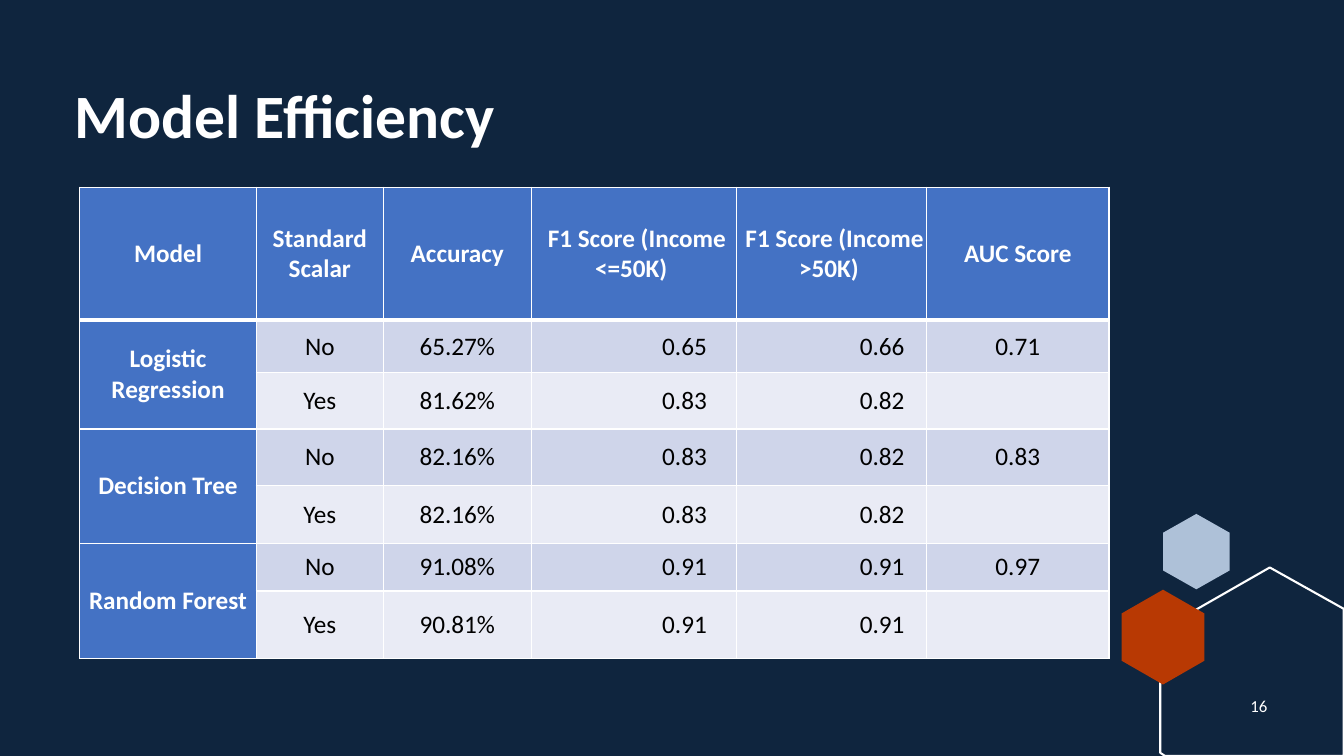
from lxml import etree
from pptx import Presentation
from pptx.dml.color import RGBColor
from pptx.enum.text import MSO_ANCHOR, PP_ALIGN
from pptx.oxml.ns import qn
from pptx.util import Cm, Pt

LEFT, CENTER = PP_ALIGN.LEFT, PP_ALIGN.CENTER
TOP, MIDDLE = MSO_ANCHOR.TOP, MSO_ANCHOR.MIDDLE

NAVY = RGBColor(0x0F, 0x25, 0x3E)
WHITE = RGBColor(0xFF, 0xFF, 0xFF)
BLACK = RGBColor(0x00, 0x00, 0x00)
BLUE = RGBColor(0x44, 0x72, 0xC4)
BAND_DARK = RGBColor(0xCF, 0xD5, 0xEA)
BAND_LIGHT = RGBColor(0xE9, 0xEB, 0xF5)
PALE_BLUE = RGBColor(0xAE, 0xC1, 0xD8)
RUST = RGBColor(0xB8, 0x39, 0x03)

HEADERS = ["Model", "Standard Scalar", "Accuracy",
           " F1 Score (Income <=50K) ", " F1 Score (Income >50K) ", "AUC Score"]
RESULTS = [
    ["Logistic Regression", "No", "65.27%", "0.65", "0.66", "0.71"],
    ["", "Yes", "81.62%", "0.83", "0.82", ""],
    ["Decision Tree", "No", "82.16%", "0.83", "0.82", "0.83"],
    ["", "Yes", "82.16%", "0.83", "0.82", ""],
    ["Random Forest", "No", "91.08%", "0.91", "0.91", "0.97"],
    ["", "Yes", "90.81%", "0.91", "0.91", ""],
]
COLUMN_WIDTHS = [4.45, 3.2, 3.73, 5.18, 4.78, 4.6]
ROW_HEIGHTS = [3.35, 1.32, 1.42, 1.42, 1.47, 1.19, 1.7]
F1_COLUMNS = (3, 4)
HEXAGON = [(0.5, 0), (1, 0.25), (1, 0.75), (0.5, 1), (0, 0.75), (0, 0.25)]


def write_text(frame, text, font="Calibri", size=18, color=WHITE, bold=False,
               align=CENTER, anchor=MIDDLE, spacing=None, indent=None):
    frame.word_wrap = True
    frame.vertical_anchor = anchor
    paragraph = frame.paragraphs[0]
    paragraph.alignment = align
    if spacing:
        paragraph.line_spacing = spacing
    if indent:
        paragraph.level = 2
        properties = paragraph._p.get_or_add_pPr()
        properties.set("marL", str(Cm(indent)))
        properties.set("indent", "0")
    run = paragraph.add_run()
    run.text = text
    run.font.name, run.font.size, run.font.bold = font, Pt(size), bold
    run.font.color.rgb = color


class SlideBuilder:
    def __init__(self, presentation, background):
        layout = presentation.slide_layouts.get_by_name("Title Only")
        self.slide = presentation.slides.add_slide(layout)
        self.shapes = self.slide.shapes
        self.slide.background.fill.solid()
        self.slide.background.fill.fore_color.rgb = background

    def title(self, text, left, top, width, height):
        title = self.shapes.title
        title.left, title.top, title.width, title.height = map(Cm, (left, top, width, height))
        write_text(title.text_frame, text, size=44, bold=True,
                   align=LEFT, anchor=TOP, spacing=0.9)

    def text(self, text, left, top, width, height, **style):
        box = self.shapes.add_textbox(Cm(left), Cm(top), Cm(width), Cm(height))
        write_text(box.text_frame, text, **style)

    def polygon(self, points, fill=None, line=None):
        corners = [(Cm(x), Cm(y)) for x, y in points]
        builder = self.shapes.build_freeform(*corners[0])
        builder.add_line_segments(corners[1:], close=True)
        shape = builder.convert_to_shape()
        shape.shadow.inherit = False
        for target, color in ((shape.fill, fill), (shape.line.fill, line)):
            if color is None:
                target.background()
            else:
                target.solid()
                target.fore_color.rgb = color
        if line is not None:
            shape.line.width = Pt(1.5)

    def hexagon(self, left, top, width, height, fill):
        self.polygon([(left + x * width, top + y * height) for x, y in HEXAGON], fill=fill)

    def cell_borders(self, cell, top=1, bottom=1):
        properties = cell._tc.get_or_add_tcPr()
        for side, width in (("L", 1), ("R", 1), ("T", top), ("B", bottom)):
            line = etree.SubElement(properties, qn(f"a:ln{side}"), w=str(Pt(width)))
            fill = etree.SubElement(line, qn("a:solidFill"))
            etree.SubElement(fill, qn("a:srgbClr"), val=str(WHITE))

    def table(self, rows, left, top, widths, heights):
        frame = self.shapes.add_table(len(rows), len(widths), Cm(left), Cm(top),
                                      Cm(sum(widths)), Cm(sum(heights)))
        table = frame.table
        for column, width in zip(table.columns, widths):
            column.width = Cm(width)
        for row, height in zip(table.rows, heights):
            row.height = Cm(height)
        for r, values in enumerate(rows):
            for c, value in enumerate(values):
                cell = table.cell(r, c)
                heading = r == 0 or c == 0
                self.cell_borders(cell, top=3 if r == 1 else 1, bottom=3 if r == 0 else 1)
                cell.fill.solid()
                cell.fill.fore_color.rgb = BLUE if heading else BAND_DARK if r % 2 else BAND_LIGHT
                cell.margin_left = cell.margin_right = cell.margin_top = cell.margin_bottom = 0
                cell.vertical_anchor = MIDDLE
                if value:
                    write_text(cell.text_frame, value, bold=heading, anchor=None,
                               color=WHITE if heading else BLACK,
                               indent=2.54 if c in F1_COLUMNS and not heading else None)
        # Each model covers its two scaling rows
        for r in range(1, len(rows), 2):
            table.cell(r, 0).merge(table.cell(r + 1, 0))


def main():
    presentation = Presentation()
    presentation.slide_width, presentation.slide_height = Cm(33.87), Cm(19.05)
    builder = SlideBuilder(presentation, NAVY)

    # Corner decoration
    builder.hexagon(29.31, 12.95, 1.68, 1.9, PALE_BLUE)
    builder.polygon([(32, 14.3), (33.86, 15.34), (33.86, 19.05), (29.36, 19.05),
                     (29.24, 18.97), (29.24, 15.88)], line=WHITE)
    builder.hexagon(28.27, 14.86, 2.08, 2.39, RUST)

    # Title and slide number
    builder.title("Model Efficiency", 1.63, 2.01, 30.25, 2.16)
    builder.text("16", 31.09, 17.27, 1.27, 1.02, size=12)

    # Model comparison
    builder.table([HEADERS] + RESULTS, 2.01, 4.72, COLUMN_WIDTHS, ROW_HEIGHTS)

    presentation.save("out.pptx")


if __name__ == "__main__":
    main()
